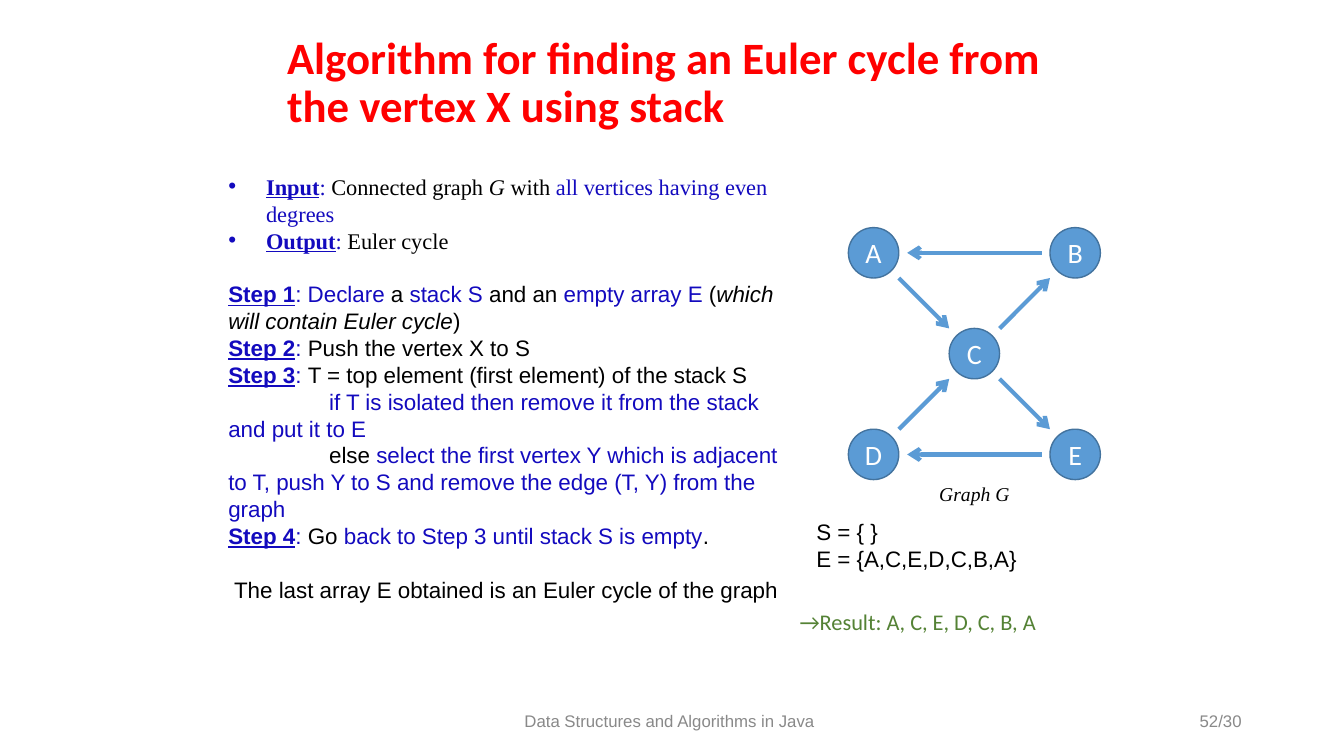
from dataclasses import dataclass
from typing import NamedTuple

from lxml.etree import SubElement
from pptx import Presentation
from pptx.dml.color import RGBColor
from pptx.enum.shapes import MSO_CONNECTOR as Connector, MSO_SHAPE as Shape
from pptx.enum.text import MSO_ANCHOR as Anchor, PP_ALIGN as Align
from pptx.oxml.ns import qn
from pptx.util import Inches, Pt

# Grid: 160 columns by 90 rows of square cells
CELL = Inches(13.333) // 160 + 1
COLUMNS, ROWS = 160, 90

BLACK, BLUE, RED, GREEN = "000000", "130ABE", "FF0000", "548235"
GREY, WHITE, NODE, NODE_EDGE = "898989", "FFFFFF", "5B9BD5", "43739E"
SANS, SERIF, TITLE_FONT = "Arial", "Times New Roman", "Calibri"
LINE = Pt(19.2)
BULLET_INDENT, TAB_INDENT = 4.5, 12

# Span styles in the algorithm text
STYLES = {
    "label": {"color": BLUE, "bold": True, "underline": True},
    "blue": {"color": BLUE},
    "black": {"color": BLACK},
    "italic": {"color": BLACK, "italic": True},
}


class Span(NamedTuple):
    text: str
    style: str = "black"


@dataclass
class Para:
    spans: list[Span]
    font: str = SANS
    size: float = 16
    color: str = ""
    bold: bool = False
    align: Align = Align.LEFT
    spacing: float | None = None
    before: int = 0
    indent: float = 0
    bullet: bool = False


@dataclass
class Box:
    column: float
    row: float
    width: float
    height: float
    paras: list[Para]
    anchor: Anchor = Anchor.TOP


class Vertex(NamedTuple):
    column: float
    row: float


def cells(count: float) -> int:
    return round(count * CELL)


def rgb(value: str) -> RGBColor:
    return RGBColor.from_string(value)


def labelled(label: str, *spans: Span, **layout) -> Para:
    return Para([Span(label, "label"), Span(": ", "blue"), *spans], spacing=LINE, **layout)


def write(frame, paras: list[Para], anchor: Anchor) -> None:
    frame.word_wrap = True
    frame.vertical_anchor = anchor
    for index, item in enumerate(paras):
        para = frame.paragraphs[0] if index == 0 else frame.add_paragraph()
        layout = {"alignment": item.align, "line_spacing": item.spacing,
                  "space_before": item.before}
        for name, value in layout.items():
            setattr(para, name, value)
        props = para._p.get_or_add_pPr()
        if item.bullet:
            props.set("marL", str(cells(BULLET_INDENT)))
            props.set("indent", str(-cells(BULLET_INDENT)))
            SubElement(props, qn("a:buFont"), typeface=SANS)
            SubElement(props, qn("a:buChar"), char="•")
        elif item.indent:
            props.set("indent", str(cells(item.indent)))
        for text, style in item.spans:
            span = para.add_run()
            span.text = text
            form = {"name": item.font, "size": Pt(item.size), "bold": item.bold, **STYLES[style]}
            color = item.color or form["color"]
            del form["color"]
            for name, value in form.items():
                setattr(span.font, name, value)
            span.font.color.rgb = rgb(color)


def draw_box(page, box: Box) -> None:
    place = map(cells, (box.column, box.row, box.width, box.height))
    write(page.shapes.add_textbox(*place).text_frame, box.paras, box.anchor)


def draw_vertex(page, name: str, vertex: Vertex) -> None:
    left, top = vertex.column - RADIUS, vertex.row - RADIUS
    circle = page.shapes.add_shape(Shape.OVAL, *map(cells, (left, top, 2 * RADIUS, 2 * RADIUS)))
    circle.shadow.inherit = False
    circle.fill.solid()
    circle.fill.fore_color.rgb = rgb(NODE)
    circle.line.color.rgb = rgb(NODE_EDGE)
    circle.line.width = Pt(1)
    label = Para([Span(name)], TITLE_FONT, 20, WHITE, align=Align.CENTER)
    write(circle.text_frame, [label], Anchor.MIDDLE)
    for side in ("left", "right", "top", "bottom"):
        setattr(circle.text_frame, f"margin_{side}", 0)


def draw_edge(page, start: Vertex, end: Vertex) -> None:
    # Diagonal edges meet the corners around a circle, level ones keep a gap
    across = 1 if end.column > start.column else -1
    down = (end.row > start.row) - (end.row < start.row)
    reach = RADIUS if down else RADIUS + 1
    ends = (start.column + across * reach, start.row + down * reach,
            end.column - across * reach, end.row - down * reach)
    arrow = page.shapes.add_connector(Connector.STRAIGHT, *map(cells, ends))
    arrow.line.color.rgb = rgb(NODE)
    arrow.line.width = Pt(3)
    SubElement(arrow.line._get_or_add_ln(), qn("a:tailEnd"), type="arrow")
    SubElement(arrow._element.spPr, qn("a:effectLst"))


# Graph: four corners around the centre vertex
RADIUS, REACH = 3, 12
CENTRE = Vertex(116, 42.1)
VERTICES = {"C": CENTRE} | {
    name: Vertex(CENTRE.column + x * REACH, CENTRE.row + y * REACH)
    for name, x, y in (("A", -1, -1), ("B", 1, -1), ("D", -1, 1), ("E", 1, 1))
}
EDGES = ("AC", "CE", "ED", "DC", "CB", "BA")

ALGORITHM = [
    labelled("Input", Span("Connected graph "), Span("G ", "italic"), Span("with "),
             Span("all vertices having even degrees", "blue"), font=SERIF, bullet=True),
    labelled("Output", Span("Euler cycle"), font=SERIF, bullet=True),
    Para([Span("Step 1", "label"), Span(": Declare ", "blue"), Span("a "),
          Span("stack S ", "blue"), Span("and an "), Span("empty array E", "blue"), Span(" ("),
          Span("which will contain Euler cycle", "italic"), Span(")")],
         spacing=LINE, before=LINE),
    labelled("Step 2", Span("Push the vertex X to S")),
    labelled("Step 3", Span("T = top element (first element) of the stack S")),
    Para([Span("if T is isolated then remove it from the stack and put it to E", "blue")],
         spacing=LINE, indent=TAB_INDENT),
    Para([Span("else "), Span("select the first vertex Y which is adjacent to T, push Y to S "
                              "and remove the edge (T, Y) from the graph", "blue")],
         spacing=LINE, indent=TAB_INDENT),
    labelled("Step 4", Span("Go "), Span("back to Step 3 until stack S is empty", "blue"),
             Span(".")),
    Para([Span(" The last array E obtained is an Euler cycle of the graph")],
         spacing=LINE, before=LINE),
]

BOXES = [
    # Footer and page number
    Box(53, 83.4, 54, 4.8, [Para([Span("Data Structures and Algorithms in Java ")], size=12,
                                 color=GREY, align=Align.CENTER)], Anchor.MIDDLE),
    Box(113, 83.4, 36, 4.8, [Para([Span("52/30")], size=12, color=GREY, align=Align.RIGHT)],
        Anchor.MIDDLE),
    # Title
    Box(33, 3.6, 97, 12.8,
        [Para([Span("Algorithm for finding an Euler cycle from the vertex X using stack")],
              TITLE_FONT, 32, RED, bold=True, spacing=0.9)], Anchor.MIDDLE),
    # Stack, cycle array, caption and result
    Box(96, 61.1, 42.1, 7.7, [Para([Span(text)], spacing=LINE)
                              for text in ("S = { }", "E = {A,C,E,D,C,B,A}")]),
    Box(110, 56.8, 12, 4, [Para([Span("Graph G", "italic")], SERIF, 14, align=Align.CENTER)]),
    Box(94, 71.8, 38, 4.4, [Para([Span("→Result: A, C, E, D, C, B, A")], TITLE_FONT,
                                 color=GREEN)]),
    Box(26, 20, 68, 56.2, ALGORITHM),
]


def main() -> None:
    deck = Presentation()
    deck.slide_width, deck.slide_height = cells(COLUMNS), cells(ROWS)
    page = deck.slides.add_slide(deck.slide_layouts[6])
    for box in BOXES:
        draw_box(page, box)
    for name, vertex in VERTICES.items():
        draw_vertex(page, name, vertex)
    for start, end in EDGES:
        draw_edge(page, VERTICES[start], VERTICES[end])
    deck.save("out.pptx")


if __name__ == "__main__":
    main()
